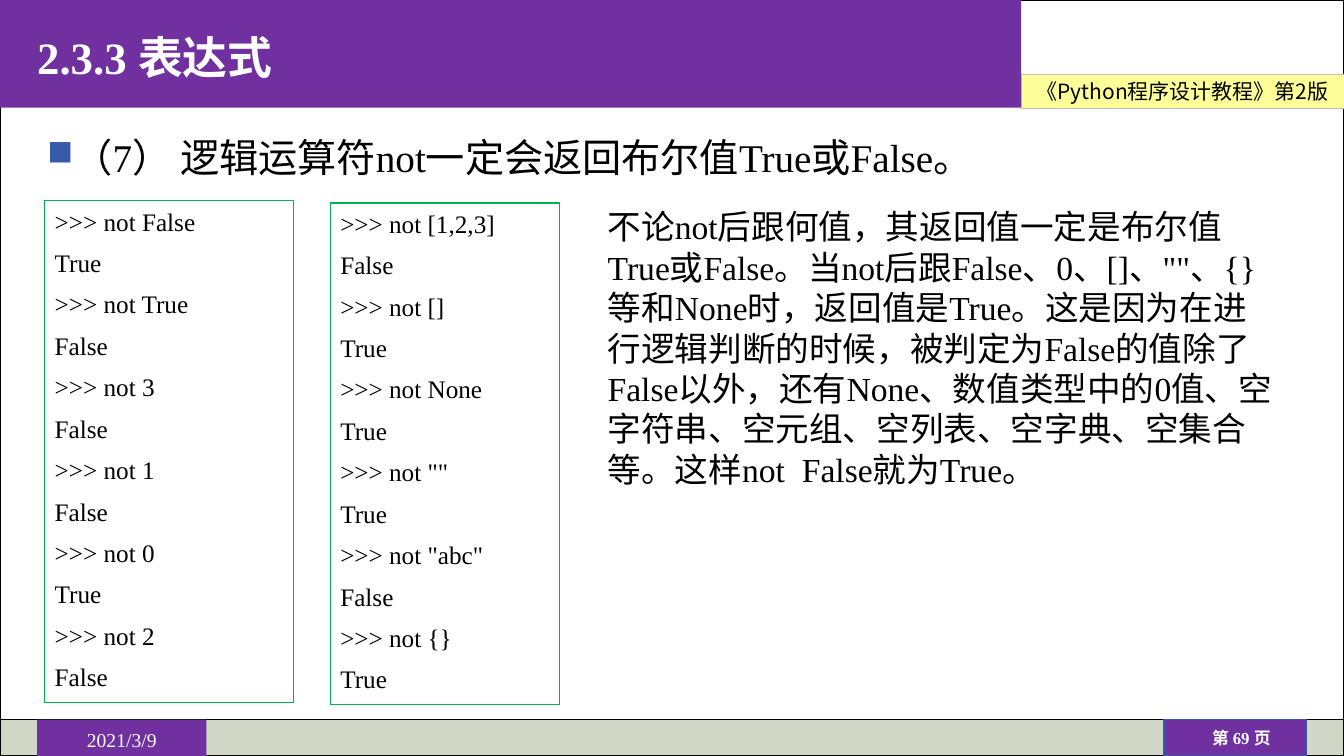
"""Build the slide on the logical operator not."""
from lxml.etree import SubElement
from pptx import Presentation
from pptx.dml.color import RGBColor
from pptx.enum.shapes import MSO_SHAPE as Shape
from pptx.enum.text import MSO_ANCHOR as Anchor, PP_ALIGN as Align
from pptx.oxml.ns import qn
from pptx.util import Pt

BLACK = RGBColor(0x00, 0x00, 0x00)
WHITE = RGBColor(0xFF, 0xFF, 0xFF)
PURPLE = RGBColor(0x70, 0x30, 0xA0)
BLUE = RGBColor(0x36, 0x5A, 0xA8)
GREEN = RGBColor(0x00, 0xB0, 0x50)
SAGE = RGBColor(0xD1, 0xD7, 0xC7)
YELLOW = RGBColor(0xFF, 0xFF, 0x99)
SILVER = RGBColor(0xC0, 0xC0, 0xC0)
SERIF = "Times New Roman"
SANS = "Noto Sans CJK SC"
WIDTH, HEIGHT = 960, 540
HEADING = "（7） 逻辑运算符not一定会返回布尔值True或False。"
EXPLANATION = (
    "不论not后跟何值，其返回值一定是布尔值True或False。"
    "当not后跟False、0、[]、\"\"、{}等和None时，返回值是True。"
    "这是因为在进行逻辑判断的时候，被判定为False的值除了False以外，"
    "还有None、数值类型中的0值、空字符串、空元组、空列表、空字典、空集合等。"
    "这样not  False就为True。"
)
SCALARS = [("False", True), ("True", False), ("3", False),
           ("1", False), ("0", True), ("2", False)]
OBJECTS = [("[1,2,3]", False), ("[]", True), ("None", True),
           ('""', True), ('"abc"', False), ("{}", True)]


def add_panel(slide, box, fill=None, line=None, weight=1):
    """Add a flat rectangle with optional fill and outline."""
    panel = slide.shapes.add_shape(Shape.RECTANGLE, *map(Pt, box))
    panel.shadow.inherit = False
    if fill is None:
        panel.fill.background()
    else:
        panel.fill.solid()
        panel.fill.fore_color.rgb = fill
    if line is None:
        panel.line.fill.background()
    else:
        panel.line.color.rgb = line
        panel.line.width = Pt(weight)
    return panel


def set_frame(holder, insets, anchor=Anchor.TOP, wrap=True):
    """Set insets, anchor and wrapping, and return the text frame."""
    frame = holder.text_frame
    frame.margin_left = frame.margin_right = Pt(insets[0])
    frame.margin_top = frame.margin_bottom = Pt(insets[1])
    frame.vertical_anchor = anchor
    frame.word_wrap = wrap
    return frame


def write(paragraph, text, size, color=BLACK, bold=False,
          align=Align.LEFT, font=SERIF):
    """Add one formatted run to a paragraph."""
    paragraph.alignment = align
    run = paragraph.add_run()
    run.text = text
    run.font.name = font
    run.font.size = Pt(size)
    run.font.bold = bold
    run.font.color.rgb = color


def add_header(slide, box):
    """Draw the title band and the course label beside it."""
    left, top, width, height = box
    band = 729.5
    label = add_panel(slide, (left + band, top + 53, width - band, 24.5),
                      YELLOW, SILVER, 0.5)
    frame = set_frame(label, (3.6, 2.9), wrap=False)
    write(frame.paragraphs[0], "《Python程序设计教程》第2版", 15,
          align=Align.CENTER, font=SANS)
    add_panel(slide, (left, top, band, height), PURPLE)
    title = slide.shapes.title
    title.left, title.top = Pt(left + 26.5), Pt(top)
    title.width, title.height = Pt(band - 26.5), Pt(height)
    slide.shapes._spTree.append(title._element)
    paragraph = set_frame(title, (0, 0), Anchor.MIDDLE).paragraphs[0]
    paragraph.line_spacing = 1.1
    write(paragraph, "2.3.3 表达式", 32, WHITE, True)


def add_footer(slide, box):
    """Draw the footer bar with the date and the page number."""
    left, top, width, height = box
    add_panel(slide, box, SAGE, BLACK)
    date = add_panel(slide, (left + 26.5, top, 121, height), PURPLE)
    paragraph = set_frame(date, (3.6, 5.8)).paragraphs[0]
    write(paragraph, "2021/3/9", 14, WHITE, align=Align.CENTER)
    add_panel(slide, (left + 831.5, top, 102, height), PURPLE, BLUE)
    page = slide.shapes.add_textbox(
        Pt(left + 839.5), Pt(top + 5), Pt(94.5), Pt(16))
    paragraph = set_frame(page, (4.3, 0.7)).paragraphs[0]
    write(paragraph, "第 69 页", 12, WHITE, True, Align.CENTER)


def add_heading(slide, box):
    """Write the bulleted statement of the rule."""
    heading = slide.shapes.add_textbox(*map(Pt, box))
    paragraph = set_frame(heading, (7.2, 3.6)).paragraphs[0]
    paragraph.line_spacing = 1.1
    paragraph.space_after = Pt(5)
    properties = paragraph._p.get_or_add_pPr()
    properties.set("marL", str(Pt(19)))
    properties.set("indent", str(Pt(-19)))
    bullet_color = SubElement(properties, qn("a:buClr"))
    SubElement(bullet_color, qn("a:srgbClr"), val=str(BLUE))
    SubElement(properties, qn("a:buSzPct"), val="90000")
    SubElement(properties, qn("a:buChar"), char="■")
    write(paragraph, HEADING, 28)


def add_session(slide, box, examples):
    """Write an interpreter session of operands and results in a frame."""
    session = add_panel(slide, box, line=GREEN, weight=0.75)
    frame = set_frame(session, (7.2, 3.6))
    lines = [line for operand, result in examples
             for line in (f">>> not {operand}", str(result))]
    for index, line in enumerate(lines):
        paragraph = frame.add_paragraph() if index else frame.paragraphs[0]
        paragraph.line_spacing = Pt(21.6)
        paragraph.space_before = Pt(8 if index else 0)
        write(paragraph, line, 18)


def add_explanation(slide, box):
    """Write the explanation beside the sessions."""
    explanation = slide.shapes.add_textbox(*map(Pt, box))
    paragraph = set_frame(explanation, (7.2, 3.6)).paragraphs[0]
    paragraph.line_spacing = Pt(28.9)
    write(paragraph, EXPLANATION, 24)


def main():
    """Assemble and save the slide."""
    deck = Presentation()
    deck.slide_width, deck.slide_height = Pt(WIDTH), Pt(HEIGHT)
    slide = deck.slides.add_slide(deck.slide_layouts[5])
    slide.background.fill.solid()
    slide.background.fill.fore_color.rgb = WHITE
    add_panel(slide, (0, 0, WIDTH, HEIGHT), line=BLACK)
    add_footer(slide, (0, 514, WIDTH, 26))
    add_header(slide, (0, 0, WIDTH, 77))
    add_heading(slide, (26.5, 88.5, 907, 45))
    add_session(slide, (32, 143.5, 178, 358), SCALARS)
    add_session(slide, (236, 145, 164, 358), OBJECTS)
    add_explanation(slide, (427, 143.5, 493, 211))
    deck.save("out.pptx")


if __name__ == "__main__":
    main()
